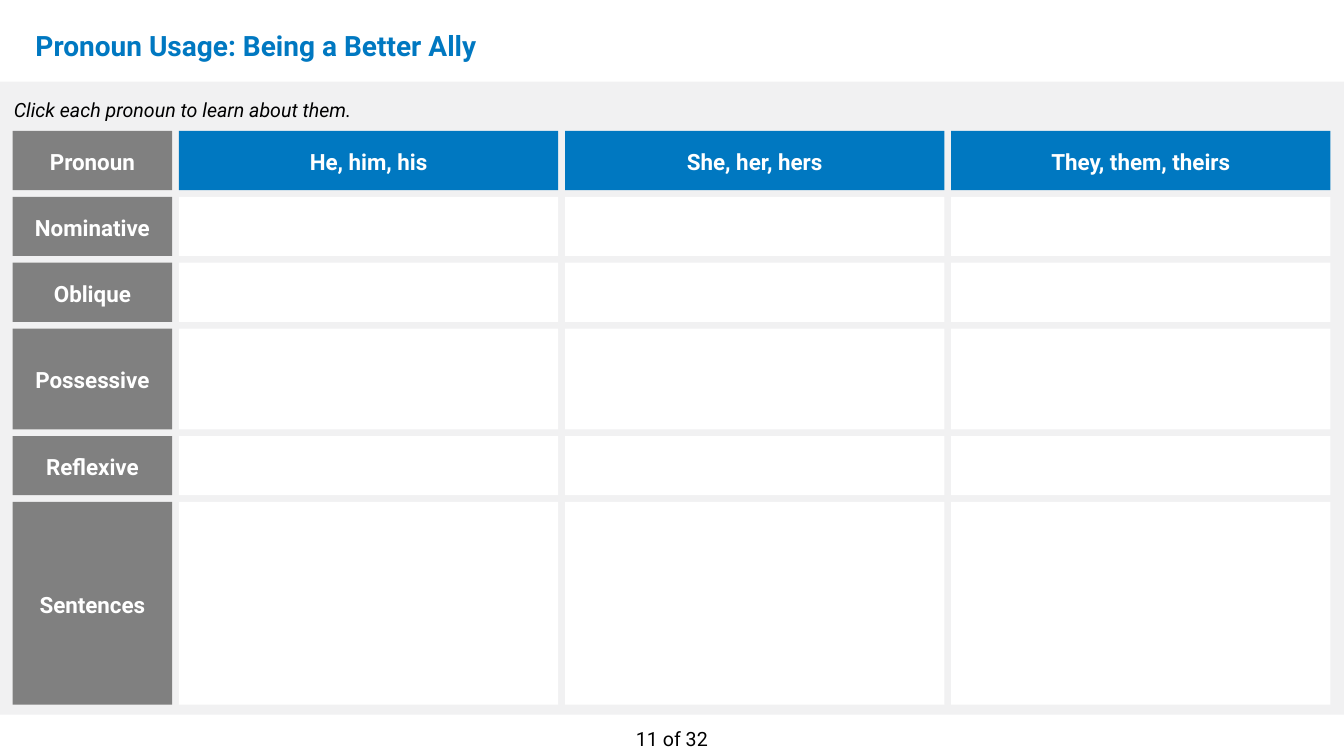
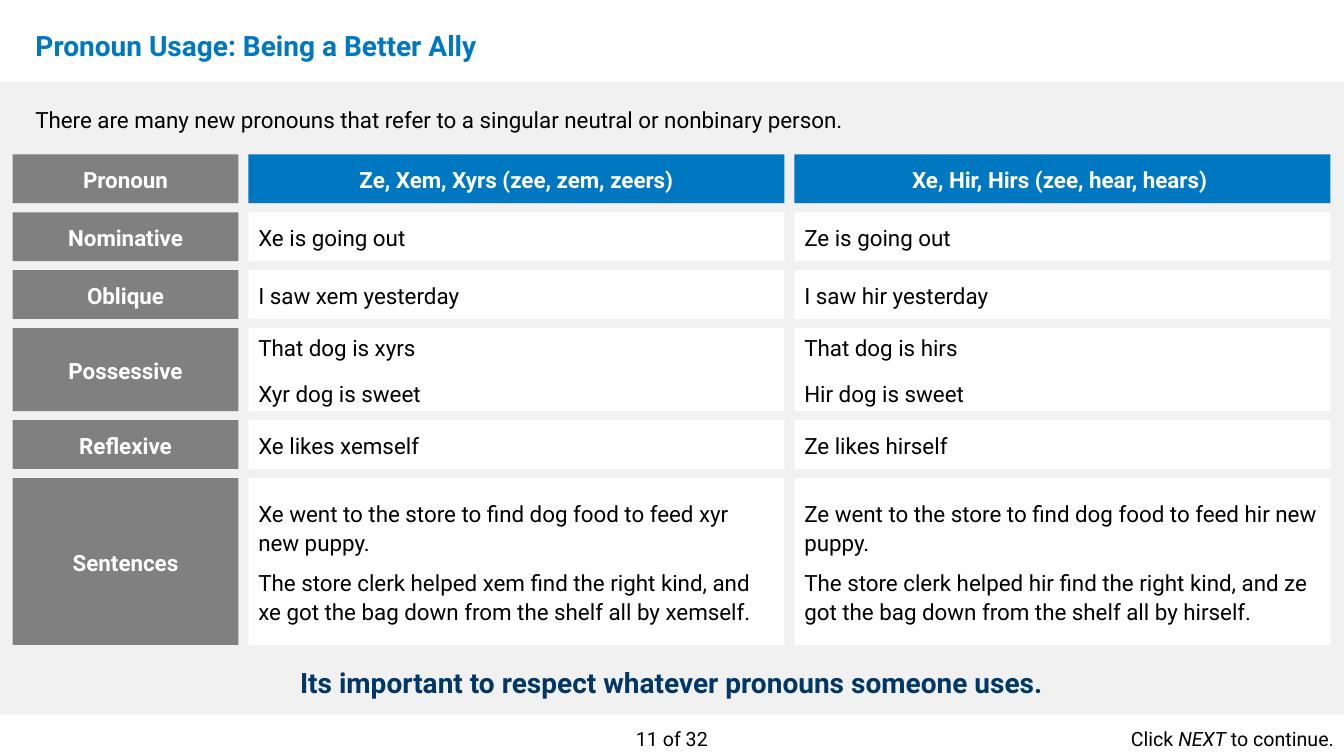
from collections import namedtuple

from pptx import Presentation
from pptx import util as u
from pptx.dml.color import RGBColor
from pptx.enum import shapes, text

BLUE = RGBColor(0x00, 0x78, 0xC1)
NAVY = RGBColor(0x00, 0x37, 0x67)
GREY = RGBColor(0x80, 0x80, 0x80)
PALE = RGBColor(0xF1, 0xF1, 0xF2)
WHITE = RGBColor(0xFF, 0xFF, 0xFF)
BLACK = RGBColor(0x00, 0x00, 0x00)

LEFT, CENTER, RIGHT = text.PP_ALIGN.LEFT, text.PP_ALIGN.CENTER, text.PP_ALIGN.RIGHT
FONT = "Roboto"
WIDTH, HEIGHT = 33.87, 19.05
FOOTER_TOP, FOOTER_WIDTH = 18.19, 6.78

# A row of the pronoun grid: heights in cm, space after paragraphs in points
Row = namedtuple("Row", "label height cells after", defaults=(8,))


class Deck:
    """Holds the shared style and the slide being built."""

    def __init__(self):
        self.prs = Presentation()
        self.prs.slide_width, self.prs.slide_height = u.Cm(WIDTH), u.Cm(HEIGHT)
        self.slide = None

    def new_slide(self, title, page):
        self.slide = self.prs.slides.add_slide(self.prs.slide_layouts[5])
        self.box(0, 2.06, WIDTH, 15.95, PALE)
        heading = self.slide.shapes.title
        place = {"left": 0.64, "top": 0.51, "width": 29.21, "height": 1.37}
        for side, length in place.items():
            setattr(heading, side, u.Cm(length))
        heading.text_frame.vertical_anchor = text.MSO_ANCHOR.MIDDLE
        heading.text_frame.auto_size = text.MSO_AUTO_SIZE.NONE
        self.fill_text(heading.text_frame, title, 20, BLUE, bold=True, line_spacing=0.9)
        self.label(page, (WIDTH - FOOTER_WIDTH) / 2, FOOTER_TOP, FOOTER_WIDTH, align=CENTER)

    def fill_text(self, frame, words, size, color, bold=False, **paragraph_format):
        """Each line is a paragraph; words between asterisks are italic."""
        frame.word_wrap = True
        for index, line in enumerate(words.split("\n")):
            paragraph = frame.add_paragraph() if index else frame.paragraphs[0]
            for name, value in {"alignment": LEFT, **paragraph_format}.items():
                setattr(paragraph, name, value)
            for part, piece in enumerate(line.split("*")):
                if not piece:
                    continue
                run = paragraph.add_run()
                run.text = piece
                style = {"name": FONT, "size": u.Pt(size), "bold": bold, "italic": part % 2 == 1}
                for name, value in style.items():
                    setattr(run.font, name, value)
                run.font.color.rgb = color

    def label(self, words, left, top, width, height=0.86, size=14, color=BLACK,
              bold=False, align=LEFT, after=0):
        area = self.slide.shapes.add_textbox(*map(u.Cm, (left, top, width, height)))
        self.fill_text(area.text_frame, words, size, color, bold,
                       alignment=align, space_after=u.Pt(after))

    def box(self, left, top, width, height, fill, words="", color=WHITE,
            bold=True, align=CENTER, after=8):
        panel = self.slide.shapes.add_shape(
            shapes.MSO_SHAPE.RECTANGLE, *map(u.Cm, (left, top, width, height)))
        panel.shadow.inherit = False
        panel.fill.solid()
        panel.fill.fore_color.rgb = fill
        panel.line.fill.background()
        if words:
            panel.text_frame.vertical_anchor = text.MSO_ANCHOR.MIDDLE
            self.fill_text(panel.text_frame, words, 16, color, bold, alignment=align,
                           line_spacing=1.07, space_after=u.Pt(after))

    def pronoun_grid(self, top, label_width, cell_width, column_gap, row_gap, rows):
        """First row is the blue header, first column the grey labels."""
        margin = 0.32
        for index, row in enumerate(rows):
            self.box(margin, top, label_width, row.height, GREY, row.label)
            left = margin + label_width + column_gap
            for words in row.cells:
                if index == 0:
                    self.box(left, top, cell_width, row.height, BLUE, words)
                else:
                    self.box(left, top, cell_width, row.height, WHITE, words,
                             BLACK, False, LEFT, row.after)
                left += cell_width + column_gap
            top += row.height + row_gap


def main():
    deck = Deck()
    title, page = "Pronoun Usage: Being a Better Ally", "11 of 32"

    # Common pronouns, with cells still to be revealed
    deck.new_slide(title, page)
    deck.label("*Click each pronoun to learn about them.*", 0.1, 2.34, 12.9)
    hidden = [""] * 3
    deck.pronoun_grid(3.3, 4.02, 9.56, 0.17, 0.17, [
        Row("Pronoun", 1.49, ["He, him, his", "She, her, hers", "They, them, theirs"]),
        Row("Nominative", 1.49, hidden),
        Row("Oblique", 1.49, hidden),
        Row("Possessive", 2.54, hidden),
        Row("Reflexive", 1.49, hidden),
        Row("Sentences", 5.11, hidden),
    ])

    # New pronouns, with examples
    deck.new_slide(title, page)
    deck.label("There are many new pronouns that refer to a singular neutral or nonbinary person.",
               0.64, 2.54, 32.2, 0.94, size=16, after=6)
    deck.pronoun_grid(3.89, 5.69, 13.51, 0.25, 0.23, [
        Row("Pronoun", 1.23, ["Ze, Xem, Xyrs (zee, zem, zeers)",
                              "Xe, Hir, Hirs (zee, hear, hears) "]),
        Row("Nominative", 1.23, ["Xe is going out", "Ze is going out"]),
        Row("Oblique", 1.23, ["I saw xem yesterday", "I saw hir yesterday"]),
        Row("Possessive", 2.09, ["That dog is xyrs\nXyr dog is sweet",
                                 "That dog is hirs\nHir dog is sweet"], 12),
        Row("Reflexive", 1.23, ["Xe likes xemself", "Ze likes hirself"]),
        Row("Sentences", 4.2, [
            "Xe went to the store to find dog food to feed xyr new puppy.\n"
            "The store clerk helped xem find the right kind, and xe got the bag "
            "down from the shelf all by xemself.",
            "Ze went to the store to find dog food to feed hir new puppy.\n"
            "The store clerk helped hir find the right kind, and ze got the bag "
            "down from the shelf all by hirself."]),
    ])
    deck.label("Its important to respect whatever pronouns someone uses.",
               6.32, 16.64, 21.21, 1.2, size=20, color=NAVY, bold=True, align=CENTER, after=6)
    deck.label("Click *NEXT* to continue.", WIDTH - FOOTER_WIDTH, FOOTER_TOP,
               FOOTER_WIDTH, align=RIGHT)

    deck.prs.save("out.pptx")


if __name__ == "__main__":
    main()
